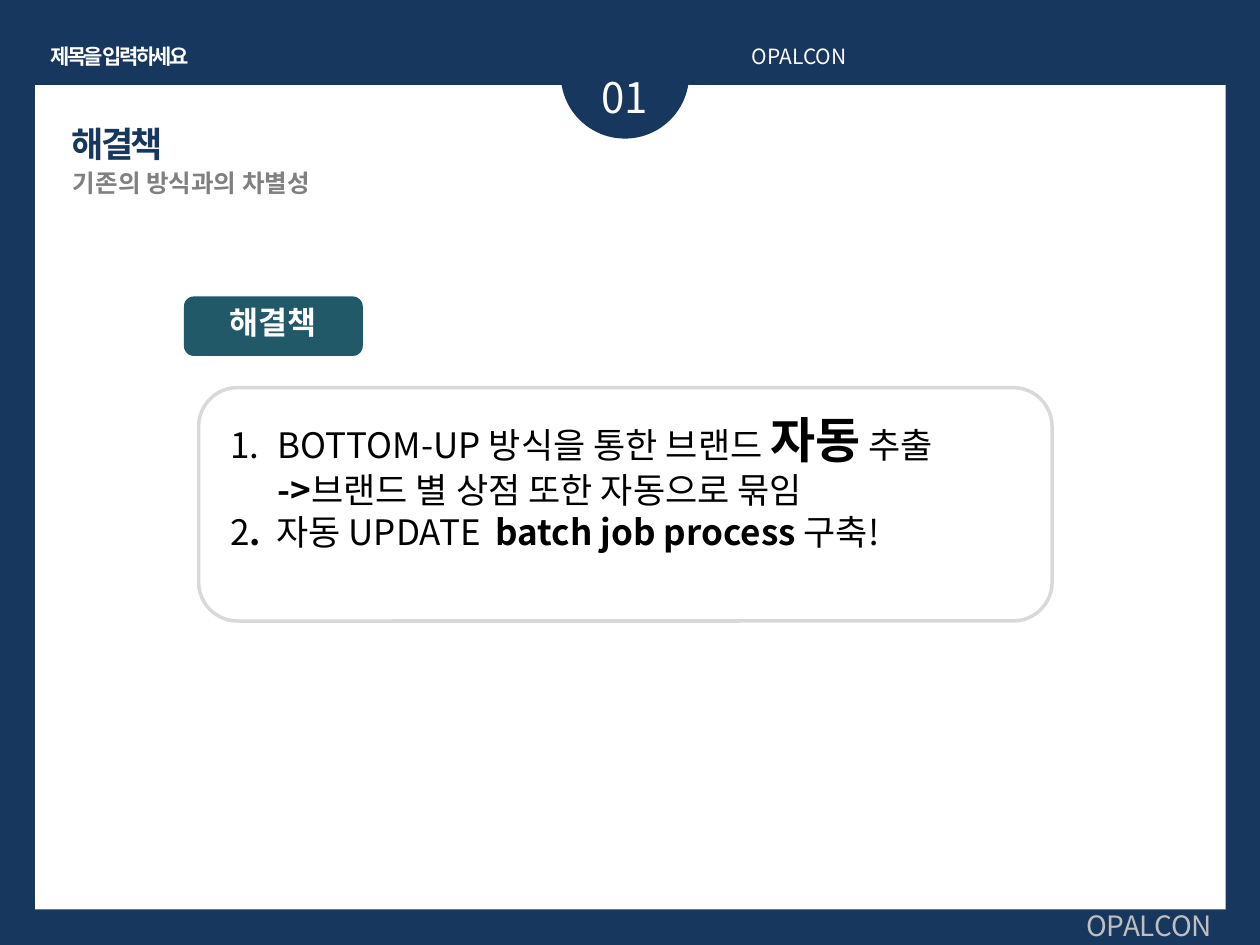
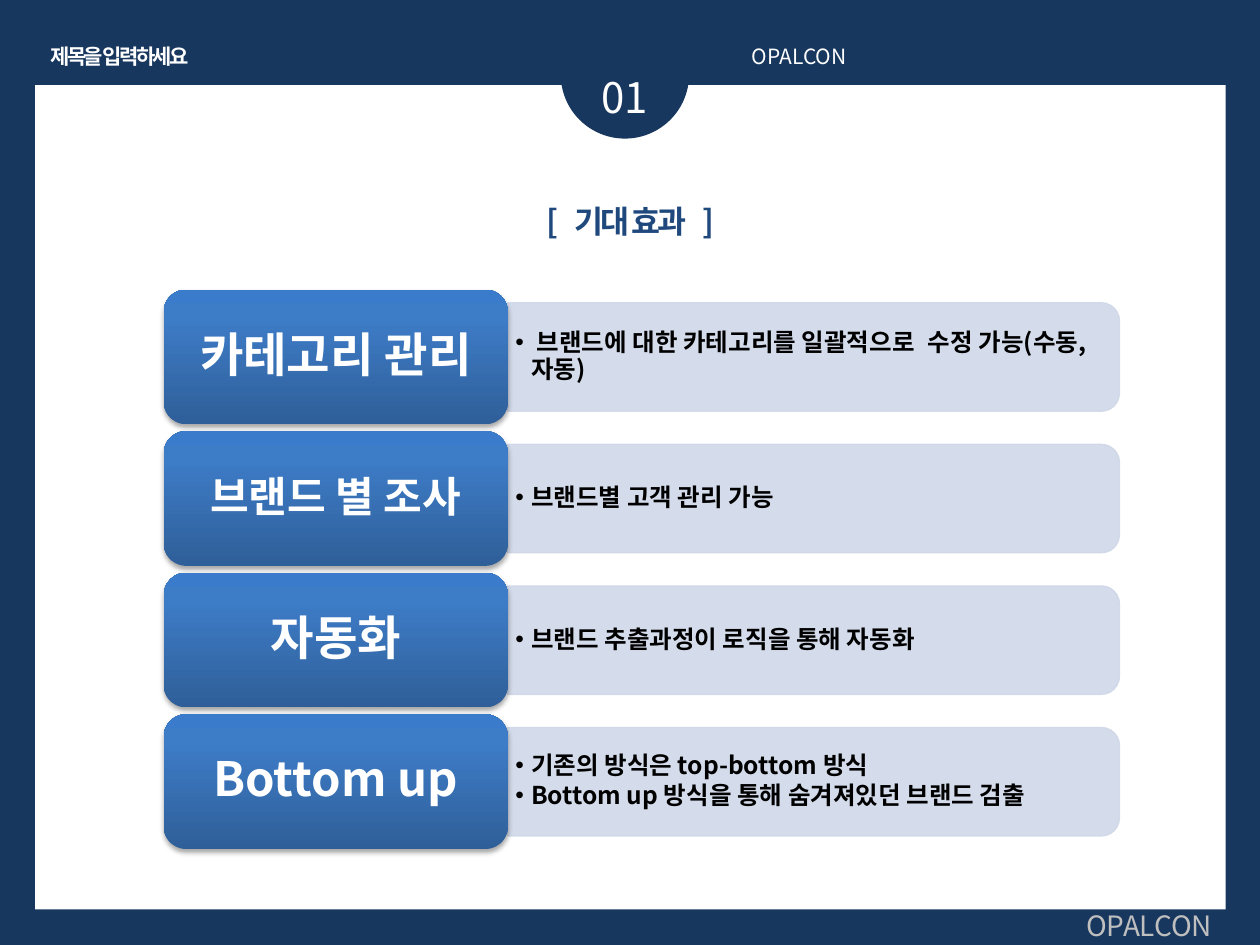
from copy import deepcopy

from lxml.etree import SubElement
from pptx import Presentation
from pptx.dml.color import RGBColor
from pptx.enum.shapes import MSO_SHAPE
from pptx.enum.text import MSO_ANCHOR, MSO_AUTO_SIZE, PP_ALIGN
from pptx.oxml.ns import qn
from pptx.util import Pt

FONT = "Noto Sans CJK KR"
NAVY = "17375E"
WHITE = "FFFFFF"
BLACK = "000000"
TEAL = "215968"
PALE_BLUE = "D0D8E8"
COMPANY = "OPALCON"
LABEL_STOPS = [(0, "2F5F99"), (0.8, "3D7CC7"), (1, "3A7CCB")]
ROW_TOP, ROW_PITCH = 165.5, 80.9
LABEL_LEFT, LABEL_WIDTH, LABEL_HEIGHT = 93.6, 196.6, 77
BAR_LEFT, BAR_WIDTH, BAR_HEIGHT = 290.2, 349.5, 62

EFFECTS = [
    ("카테고리 관리", 27, [[
        (" 브랜드에 대한 카테고리를 일괄적으로", {}),
        (" ", {"spacing": 4}),
        ("수정 가능(수동, 자동)", {}),
    ]]),
    ("브랜드 별 조사", 24, ["브랜드별 고객 관리 가능"]),
    ("자동화", 27, ["브랜드 추출과정이 로직을 통해 자동화"]),
    ("Bottom up", 27, [
        "기존의 방식은 top-bottom 방식",
        "Bottom up 방식을 통해 숨겨져있던 브랜드 검출",
    ]),
]


def color(value):
    return RGBColor.from_string(value)


def add_span(para, text, size=12, fill=BLACK, bold=False, font=FONT, spacing=0):
    span = para.add_run()
    span.text = text
    span.font.size = Pt(size)
    span.font.bold = bold
    span.font.name = font
    span.font.color.rgb = color(fill)
    properties = span.font._element
    SubElement(properties, qn("a:ea")).set("typeface", FONT)
    if spacing:
        properties.set("spc", str(round(spacing * 100)))


def set_bullet(para, indent, numbered=False):
    properties = para._p.get_or_add_pPr()
    properties.set("marL", str(Pt(indent)))
    properties.set("indent", str(-Pt(indent)))
    if numbered:
        SubElement(properties, qn("a:buAutoNum")).set("type", "arabicPeriod")
    else:
        SubElement(properties, qn("a:buFont")).set("typeface", "Arial")
        SubElement(properties, qn("a:buChar")).set("char", "•")


def fill_para(para, content, align=PP_ALIGN.LEFT, line_spacing=None, after=None, **style):
    para.alignment = align
    if line_spacing:
        para.line_spacing = line_spacing
    if after:
        para.space_after = Pt(after)
    spans = [(content, {})] if isinstance(content, str) else content
    for text, changes in spans:
        if text == "\n":
            para.add_line_break()
        else:
            add_span(para, text, **{**style, **changes})


def place(shape, left, top, width, height):
    shape.left, shape.top = Pt(left), Pt(top)
    shape.width, shape.height = Pt(width), Pt(height)


def set_frame(frame, margins=(7.2, 3.6), anchor=MSO_ANCHOR.TOP, wrap=True):
    frame.word_wrap = wrap
    frame.auto_size = MSO_AUTO_SIZE.NONE
    frame.vertical_anchor = anchor
    frame.margin_left = frame.margin_right = Pt(margins[0])
    frame.margin_top = frame.margin_bottom = Pt(margins[1])


def add_text(page, area, content, wrap=True, margins=(7.2, 3.6),
             anchor=MSO_ANCHOR.TOP, **style):
    box = page.shapes.add_textbox(*map(Pt, area))
    set_frame(box.text_frame, margins, anchor, wrap)
    fill_para(box.text_frame.paragraphs[0], content, **style)
    return box


def add_box(page, kind, area, fill=None, line=None, line_width=1):
    box = page.shapes.add_shape(kind, *map(Pt, area))
    box.shadow.inherit = False
    if fill:
        box.fill.solid()
        box.fill.fore_color.rgb = color(fill)
    else:
        box.fill.background()
    if line:
        box.line.color.rgb = color(line)
        box.line.width = Pt(line_width)
    else:
        box.line.fill.background()
    return box


def set_title(page, area, content, **style):
    title = page.shapes.title
    place(title, *area)
    set_frame(title.text_frame)
    fill_para(title.text_frame.paragraphs[0], content, bold=True, spacing=-1.5, **style)
    page.shapes._spTree.append(title._element)


def add_page(deck):
    page = deck.slides.add_slide(deck.slide_layouts[5])
    page.background.fill.solid()
    page.background.fill.fore_color.rgb = color(NAVY)
    add_box(page, MSO_SHAPE.RECTANGLE, (20, 48.7, 680.4, 471), WHITE)
    add_box(page, MSO_SHAPE.OVAL, (320.4, 5.8, 73.4, 73.4), NAVY)
    add_text(page, (314.6, 37.4, 85, 36), "01", size=24, fill=WHITE,
             align=PP_ALIGN.CENTER)
    add_text(page, (17.3, 21.6, 102.2, 21.6), "제목을 입력하세요", wrap=False,
             fill=WHITE, bold=True, spacing=-1.5, align=PP_ALIGN.CENTER)
    add_text(page, (422.6, 21.6, 283.7, 21.6), COMPANY, fill=WHITE,
             align=PP_ALIGN.JUSTIFY)
    add_text(page, (563.8, 515.5, 136, 26.6), COMPANY, size=16, fill="BFBFBF",
             align=PP_ALIGN.RIGHT)
    return page


def add_bar(page, middle):
    left = BAR_LEFT + (BAR_WIDTH - BAR_HEIGHT) / 2
    area = (left, middle - BAR_WIDTH / 2, BAR_HEIGHT, BAR_WIDTH)
    bar = add_box(page, MSO_SHAPE.ROUND_2_SAME_RECTANGLE, area, PALE_BLUE, PALE_BLUE, 0.75)
    bar.rotation = 90
    for paint in bar._element.spPr.iter(qn("a:srgbClr")):
        SubElement(paint, qn("a:alpha")).set("val", "90000")


def add_label(page, top):
    area = (LABEL_LEFT, top, LABEL_WIDTH, LABEL_HEIGHT)
    label = add_box(page, MSO_SHAPE.ROUNDED_RECTANGLE, area)
    label.fill.gradient()
    label.fill.gradient_angle = 90
    properties = label._element.spPr
    stop_list = properties.find(".//" + qn("a:gsLst"))
    stop_list.append(deepcopy(stop_list[-1]))
    for stop, (position, value) in zip(label.fill.gradient_stops, LABEL_STOPS):
        stop.position = position
        stop.color.rgb = color(value)
    shadow = SubElement(properties.find(qn("a:effectLst")), qn("a:outerShdw"))
    for name, value in (("blurRad", Pt(3.1)), ("dist", Pt(1.8)), ("dir", 5400000),
                        ("rotWithShape", 0)):
        shadow.set(name, str(int(value)))
    paint = SubElement(shadow, qn("a:srgbClr"))
    paint.set("val", BLACK)
    SubElement(paint, qn("a:alpha")).set("val", "35000")


def add_effect_row(page, top, name, size, points):
    middle = top + LABEL_HEIGHT / 2
    add_bar(page, middle)
    style = {"size": 14, "bold": True, "line_spacing": 0.9, "after": 2.1}
    box = add_text(page, (BAR_LEFT, middle - 27.7, 346.3, 55.4), points[0],
                   margins=(4.3, 2.2), anchor=MSO_ANCHOR.MIDDLE, **style)
    for point in points[1:]:
        fill_para(box.text_frame.add_paragraph(), point, **style)
    for para in box.text_frame.paragraphs:
        set_bullet(para, 9)
    add_label(page, top)
    add_text(page, (LABEL_LEFT + 3.6, top + 3.6, LABEL_WIDTH - 7.2, LABEL_HEIGHT - 7.2),
             name, margins=(7.9, 4.3), anchor=MSO_ANCHOR.MIDDLE, size=size, fill=WHITE,
             bold=True, align=PP_ALIGN.CENTER, line_spacing=0.9, after=size * 0.35)


def build_solution(deck):
    page = add_page(deck)
    add_box(page, MSO_SHAPE.ROUNDED_RECTANGLE, (105.1, 169.4, 102.2, 34), TEAL)
    add_text(page, (119.5, 169.9, 73.4, 28.8), "해결책", size=18, fill=WHITE, bold=True,
             align=PP_ALIGN.CENTER)
    add_text(page, (34.6, 92.2, 254.9, 24.5), "기존의 방식과의 차별성", size=14,
             fill="808080", bold=True)
    set_title(page, (33.8, 66.2, 136, 60.5), "해결책", size=20, fill=NAVY, font="Arial")
    add_box(page, MSO_SHAPE.ROUNDED_RECTANGLE, (113.5, 221.5, 487.7, 133.4),
            line="D9D9D9", line_width=2)
    strong = {"bold": True}
    box = add_text(page, (124.6, 230.4, 470.2, 90), [
        ("BOTTOM-UP 방식을 통한 브랜드 ", {}),
        ("자동", {"bold": True, "size": 28}),
        (" ", strong),
        ("추출", {}),
        ("\n", {}),
        ("->", strong),
        ("브랜드 별 상점 또한 자동으로 묶임", {}),
    ], size=20)
    set_bullet(box.text_frame.paragraphs[0], 27)
    set_numbered = box.text_frame.paragraphs[0]._p.pPr
    for tag in ("a:buFont", "a:buChar"):
        set_numbered.remove(set_numbered.find(qn(tag)))
    set_bullet(box.text_frame.paragraphs[0], 27, numbered=True)
    fill_para(box.text_frame.add_paragraph(), [
        ("2", {}),
        (". ", {"bold": True, "spacing": 2}),
        ("자동 UPDATE", {}),
        (" ", {"spacing": 4}),
        ("batch job process ", strong),
        ("구축!", {}),
    ], size=20)


def build_effects(deck):
    page = add_page(deck)
    for index, effect in enumerate(EFFECTS):
        add_effect_row(page, ROW_TOP + index * ROW_PITCH, *effect)
    gap = (" ", {"spacing": 5})
    set_title(page, (195.8, 111.6, 329, 28.8),
              [("[", {}), gap, ("기대 효과", {}), gap, ("]", {})],
              size=18, fill="1F497D", align=PP_ALIGN.CENTER)


def main():
    deck = Presentation()
    deck.slide_width, deck.slide_height = Pt(720), Pt(540)
    build_solution(deck)
    build_effects(deck)
    deck.save("out.pptx")


if __name__ == "__main__":
    main()
